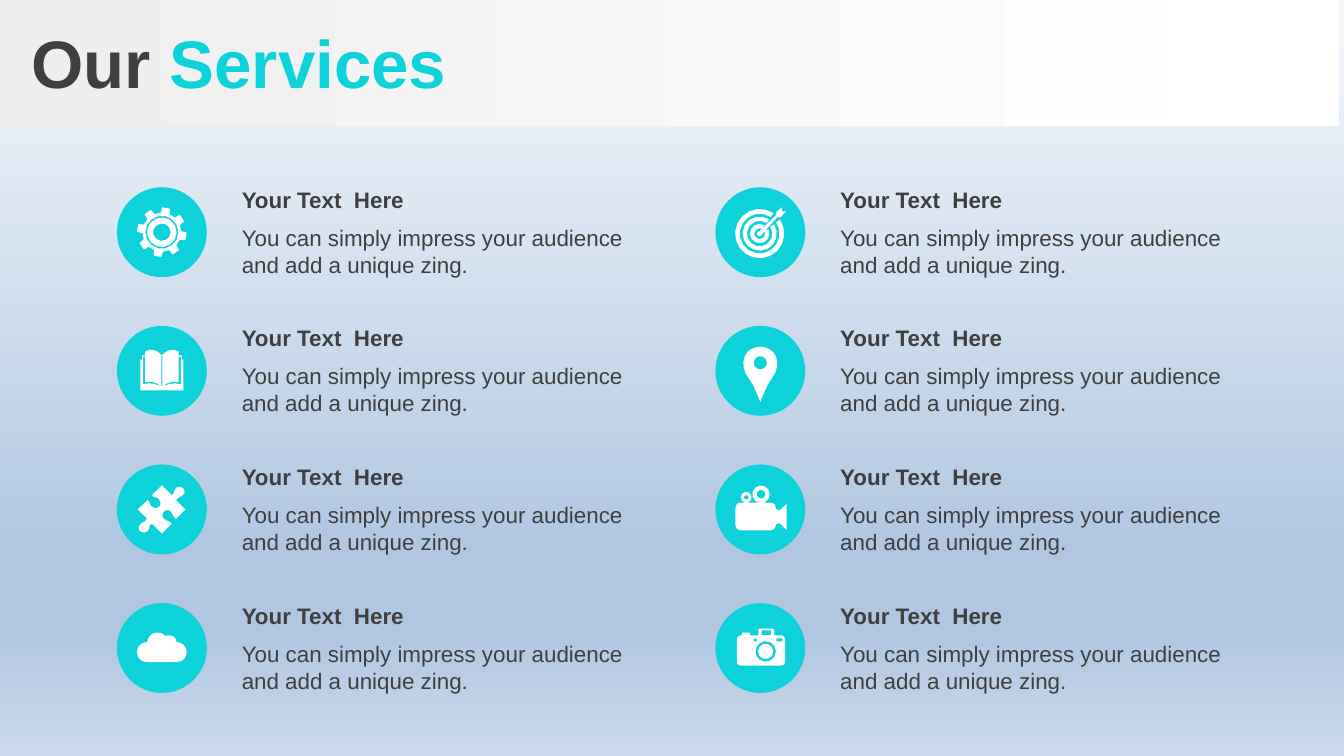
from math import cos, dist, radians, sin

from lxml.etree import SubElement
from pptx import Presentation
from pptx.dml.color import RGBColor
from pptx.enum.shapes import MSO_SHAPE as Shape
from pptx.enum.text import MSO_ANCHOR as Anchor
from pptx.oxml.ns import qn
from pptx.util import Cm, Pt

TEAL = RGBColor(0x0D, 0xD2, 0xD9)
GREY = RGBColor(0x3F, 0x3F, 0x3F)
WHITE = RGBColor(0xFF, 0xFF, 0xFF)
SKY = [(0, RGBColor(0xF6, 0xF9, 0xFC)), (74, RGBColor(0xB0, 0xC6, 0xE1)),
       (83, RGBColor(0xB0, 0xC6, 0xE1)), (100, RGBColor(0xCA, 0xD9, 0xEB))]
BAND = [(0, RGBColor(0xEF, 0xEF, 0xEF)), (100, WHITE)]

TITLE = [("Our ", GREY), ("Services", TEAL)]
HEAD = "Your Text  Here"
BODY = "You can simply impress your audience and add a unique zing."

# Icon outlines, centred on the disc. A pair is a corner, six numbers a curve.
UNIT = 0.0254


def arc(r, start=0, end=360, x=0, y=0):
    n = 8 + int(r / 2)
    turns = [radians(start + (end - start) * i / n) for i in range(n + 1)]
    return [(x + r * cos(t), y + r * sin(t)) for t in turns]


def band(outer, inner, gap):
    """Ring round the target, cut open where the arrow passes."""
    start, end = gap - 45, 315 - gap
    return arc(outer, start, end, -0.5, 1) + arc(inner, end, start, -0.5, 1)


def box(l, t, r, b):
    return [(l, t), (r, t), (r, b), (l, b)]


def flip(line):
    return [tuple(-v if i % 2 == 0 else v for i, v in enumerate(p)) for p in line]


def cog(teeth=8):
    pairs = [(14.5, -13), (18.5, -9), (18.5, 9), (14.5, 13)]
    step = 360 / teeth
    spots = [(r, radians(10 + step * k + a)) for k in range(teeth) for r, a in pairs]
    return [(r * cos(a), r * sin(a)) for r, a in spots]


GEAR = [cog(), arc(12.3), arc(11), arc(6.5)]
PAGE = [(-14, -10.5), (-12.5, -10.5), (-12.5, 8.5), (-8.5, 7.5, -4, 8.5, -0.5, 11.5),
        (-5, 10, -8, 8.5, -14, 10)]
BOOK = [[(-16, 14.5), (-16, -8.5), (-14.8, -8.5), (-14.8, -11.5), (-12.5, -11.5),
         (-12.5, -14.5), (-8, -16.5, -4, -16, 0, -11.5), (4, -16, 8, -16.5, 12.5, -14.5),
         (12.5, -11.5), (14.8, -11.5), (14.8, -8.5), (16, -8.5), (16, 14.5)],
        PAGE, flip(PAGE), box(-0.3, -11, 0.3, 11.5)]
PUZZLE = [[(15.5, -16), (17, -15, 17.5, -12.5, 16, -11), (14.5, -9, 12.5, -10, 10.5, -7),
           (17.5, 0), (10.5, 7), (7.5, 5, 8.5, 3, 6.5, 1.5), (5, 0, 2.5, 0.5, 1.5, 1.5),
           (0.5, 3, -0.5, 5, 1.5, 7), (4, 9, 4.5, 8, 7.5, 10.5), (0, 18), (-7.5, 10.5),
           (-10.5, 13, -8.5, 13.5, -10.5, 16), (-12.5, 18, -15, 17.5, -16.5, 16),
           (-17.5, 15, -17.5, 12.5, -16, 11), (-14.5, 9, -12.5, 10, -11, 7), (-18, 0),
           (-10.5, -7), (-8.5, -5.5, -9.5, -3.5, -7.5, -2), (-5.5, -0.5, -3.5, -1, -2, -2),
           (-0.5, -3, -0.5, -6, -2.5, -8), (-4.5, -10, -5.5, -8, -7.5, -10.5), (0, -18),
           (7.5, -10.5), (10, -13, 8.5, -13.5, 10.5, -16), (12, -17.5, 14.5, -17, 15.5, -16)]]
CLOUD = [[(-3.5, -11.5), (-1, -11.5, 1.5, -10.5, 2.5, -9), (5, -9.5),
          (8.5, -9.5, 11, -7.5, 11, -4.5), (15, -4.5, 18.5, -1, 18.5, 3),
          (18.5, 7, 15.5, 10.5, 11, 10.5), (-11, 10.5), (-15.5, 10.5, -18.5, 7, -18.5, 3),
          (-18.5, -1, -15.5, -4.5, -11, -4.5), (-10.5, -8.5, -7.5, -11.5, -3.5, -11.5)]]
ARROW = [(16, -18.5), (16, -15.5), (19, -15.5), (15, -11), (12.5, -11), (2, 0.5),
         (1.5, 2, 0.5, 3, -0.5, 3), (-1.5, 3, -2.5, 2, -2.5, 1),
         (-2.5, 0, -1.5, -1, -0.5, -1), (11.5, -12.5), (11.5, -14.5)]
TARGET = [band(18.3, 14.8, 11), band(12.7, 9.5, 12), band(7.2, 4, 18), ARROW]
PIN = [[(0, -18), (3.5, -18, 7, -16.5, 9.5, -14), (14, -9, 13.5, -1, 9, 5),
        (4.5, 11, 3.5, 15, 0, 23), (-3.5, 15, -4.5, 11, -9, 5),
        (-13.5, -1, -14, -9, -9.5, -14), (-7, -16.5, -3.5, -18, 0, -18)], arc(5, y=-6)]
FILM = [[(-15, -5), (8, -5), (10, -5, 11.5, -3, 11.5, -1), (11.5, 0), (13, 0), (14, 1),
         (19.5, -4), (19.5, 15), (14, 10), (13, 11), (11.5, 11), (11.5, 12),
         (11.5, 14, 10, 15.5, 8, 15.5), (-15, 15.5), (-17, 15.5, -18.5, 14, -18.5, 12),
         (-18.5, -1), (-18.5, -3, -17, -5, -15, -5)],
        arc(6.5, x=0.5, y=-11.3), arc(3.3, x=0.5, y=-11.3),
        arc(4, x=-10.5, y=-9), arc(1.7, x=-10.5, y=-9)]
CAMERA = [[(-0.5, -14.5), (9.5, -14.5), (10.5, -13.5), (10.5, -9.5), (15.5, -9.5),
           (17, -9.5, 18.5, -8, 18.5, -6.5), (18.5, 10.5), (18.5, 12, 17, 13, 15.5, 13),
           (-14.5, 13), (-16, 13, -17.5, 12, -17.5, 10.5), (-17.5, -6.5),
           (-17.5, -8, -16, -9.5, -14.5, -9.5), (-14, -9.5), (-13.5, -11.5), (-8, -11.5),
           (-7.5, -9.5), (-1.5, -9.5), (-1.5, -13.5)],
          arc(7.7, x=4, y=2.5), arc(5.7, x=4, y=2.5), box(-5, -7, -2.5, -5),
          box(12, -7.3, 16.5, -5), box(1, -13.2, 8, -9.7)]
COLUMNS = [[GEAR, BOOK, PUZZLE, CLOUD], [TARGET, PIN, FILM, CAMERA]]

# Grid in centimetres
LEFT, TOP, DISC = 2.21, 3.54, 1.7
COL, ROW = 11.31, 2.62


def shade(fill, stops, angle):
    fill.gradient()
    fill.gradient_angle = angle
    group = fill._fill._gradFill.find(qn("a:gsLst"))
    for old in list(group):
        group.remove(old)
    for pos, tint in stops:
        stop = SubElement(group, qn("a:gs"), pos=str(pos * 1000))
        SubElement(stop, qn("a:srgbClr"), val=str(tint))


def paint(shape, tint):
    shape.shadow.inherit = False
    shape.line.fill.background()
    if tint is not None:
        shape.fill.solid()
        shape.fill.fore_color.rgb = tint


def trace(line, x, y):
    """Turn corners and curves into slide points round the centre x, y."""
    dots = []
    for part in line:
        if len(part) == 2:
            dots.append(part)
            continue
        knots = [dots[-1], part[:2], part[2:4], part[4:]]
        steps = 2 + int(dist(knots[0], knots[3]) / 5)
        for i in range(1, steps + 1):
            t = i / steps
            mix = [(1 - t) ** 3, 3 * t * (1 - t) ** 2, 3 * t * t * (1 - t), t ** 3]
            dots.append(tuple(sum(m * k[axis] for m, k in zip(mix, knots))
                              for axis in (0, 1)))
    return [(Cm(x + u * UNIT), Cm(y + v * UNIT)) for u, v in dots]


def draw(shapes, icon, x, y):
    first, *rest = [trace(line, x, y) for line in icon]
    pen = shapes.build_freeform(*first[0])
    pen.add_line_segments(first[1:])
    for dots in rest:
        pen.move_to(*dots[0])
        pen.add_line_segments(dots[1:])
    paint(pen.convert_to_shape(), WHITE)


def write(shapes, place, runs, size, bold=False, **frame):
    text = shapes.add_textbox(*map(Cm, place)).text_frame
    for key, value in {"word_wrap": True, **frame}.items():
        setattr(text, key, value)
    for words, tint in runs:
        run = text.paragraphs[0].add_run()
        run.text = words
        for key, value in {"name": "Arial", "size": Pt(size), "bold": bold}.items():
            setattr(run.font, key, value)
        run.font.color.rgb = tint


def main():
    deck = Presentation()
    deck.slide_width, deck.slide_height = Cm(25.4), Cm(14.29)
    slide = deck.slides.add_slide(deck.slide_layouts[6])
    shapes = slide.shapes
    shade(slide.background.fill, SKY, 270)
    header = shapes.add_shape(Shape.RECTANGLE, 0, 0, Cm(25.3), Cm(2.39))
    paint(header, None)
    shade(header.fill, BAND, 0)
    write(shapes, (0, 0.08, 25.4, 2.16), TITLE, 36, True,
          margin_left=Cm(0.6), vertical_anchor=Anchor.MIDDLE)
    for c, icons in enumerate(COLUMNS):
        for r, icon in enumerate(icons):
            x, y = LEFT + c * COL, TOP + r * ROW
            disc = shapes.add_shape(Shape.OVAL, Cm(x), Cm(y), Cm(DISC), Cm(DISC))
            paint(disc, TEAL)
            draw(shapes, icon, x + DISC / 2, y + DISC / 2)
            write(shapes, (x + 2.11, y + 0.57, 7.87, 1.27), [(BODY, GREY)], 12)
            write(shapes, (x + 2.11, y - 0.15, 7.87, 0.76), [(HEAD, GREY)], 12, True)
    deck.save("out.pptx")


if __name__ == "__main__":
    main()
